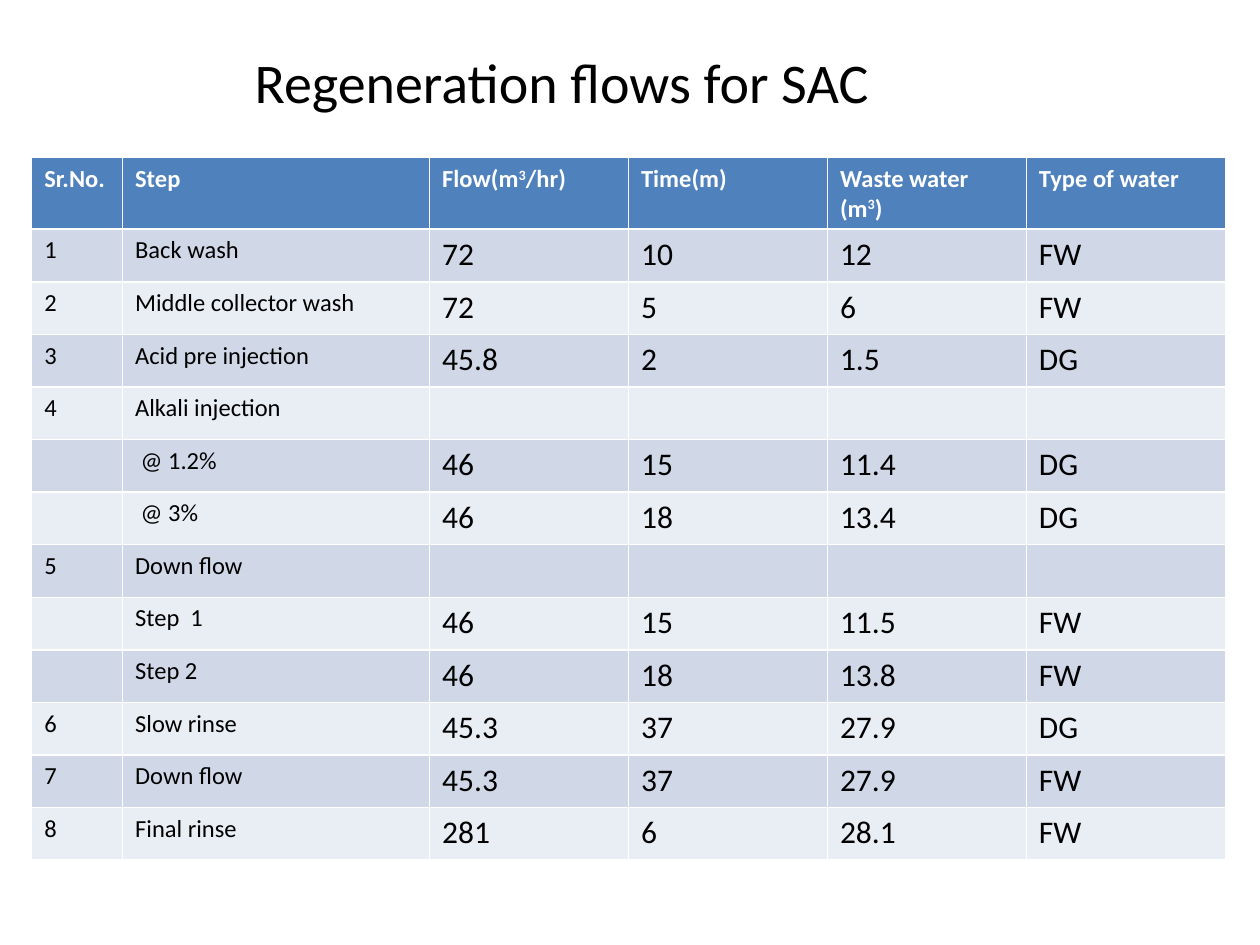
"""Build the slide listing the regeneration flows for SAC."""
import dataclasses

import pptx
import pptx.dml.color
import pptx.enum.text
import pptx.util

Cm = pptx.util.Cm
Pt = pptx.util.Pt
RGBColor = pptx.dml.color.RGBColor

BLACK = RGBColor(0x00, 0x00, 0x00)
WHITE = RGBColor(0xFF, 0xFF, 0xFF)
HEADER_BLUE = RGBColor(0x4F, 0x81, 0xBD)
BANDS = (RGBColor(0xE9, 0xED, 0xF4), RGBColor(0xD0, 0xD8, 0xE8))
FONT = "Calibri"
COLUMN_WIDTHS = (1.83, 6.19, 4.01, 4.01, 4.01, 4.01)
ROW_HEIGHT = 1.06
SUPERSCRIPT = "30000"


@dataclasses.dataclass(frozen=True)
class Step:
    """One regeneration step."""

    number: str
    name: str
    flow: str = ""
    minutes: str = ""
    waste: str = ""
    water: str = ""


HEADERS = (
    ("Sr.No.",),
    ("Step",),
    ("Flow(m", "3", "/hr)"),
    ("Time(m)",),
    ("Waste water (m", "3", ")"),
    ("Type of water",),
)
STEPS = (
    Step("1", "Back wash", "72", "10", "12", "FW"),
    Step("2", "Middle collector wash", "72", "5", "6", "FW"),
    Step("3", "Acid pre injection", "45.8", "2", "1.5", "DG"),
    Step("4", "Alkali injection"),
    Step("", " @ 1.2%", "46", "15", "11.4", "DG"),
    Step("", " @ 3%", "46", "18", "13.4", "DG"),
    Step("5", "Down flow"),
    Step("", "Step  1", "46", "15", "11.5", "FW"),
    Step("", "Step 2", "46", "18", "13.8", "FW"),
    Step("6", "Slow rinse", "45.3", "37", "27.9", "DG"),
    Step("7", "Down flow", "45.3", "37", "27.9", "FW"),
    Step("8", "Final rinse", "281", "6", "28.1", "FW"),
)


def add_run(p, text: str, size: int, color: RGBColor, bold: bool = False):
    """Append a formatted run to a paragraph and return it."""
    r = p.add_run()
    r.text = text
    r.font.name = FONT
    r.font.size = Pt(size)
    r.font.bold = bold
    r.font.color.rgb = color
    return r


def fill_cell(cell, color: RGBColor) -> None:
    """Give a table cell a solid fill."""
    cell.fill.solid()
    cell.fill.fore_color.rgb = color


def add_title(s, text: str) -> None:
    """Place and format the slide title."""
    sp = s.shapes.title
    sp.left, sp.top, sp.width, sp.height = Cm(4.88), Cm(0.84), Cm(13.03), Cm(1.62)
    tf = sp.text_frame
    tf.word_wrap = False
    tf.auto_size = pptx.enum.text.MSO_AUTO_SIZE.SHAPE_TO_FIT_TEXT
    tf.vertical_anchor = pptx.enum.text.MSO_ANCHOR.TOP
    p = tf.paragraphs[0]
    p.alignment = pptx.enum.text.PP_ALIGN.LEFT
    add_run(p, text, 32, BLACK)


def add_flow_table(s) -> None:
    """Draw the table of regeneration steps."""
    count = len(STEPS) + 1
    table = s.shapes.add_table(
        count, len(HEADERS), Cm(0.64), Cm(3.18),
        Cm(sum(COLUMN_WIDTHS)), Cm(ROW_HEIGHT * count),
    ).table
    for column, width in zip(table.columns, COLUMN_WIDTHS):
        column.width = Cm(width)
    for row in table.rows:
        row.height = Cm(ROW_HEIGHT)
    for col, parts in enumerate(HEADERS):
        cell = table.cell(0, col)
        fill_cell(cell, HEADER_BLUE)
        for i, part in enumerate(parts):
            r = add_run(cell.text_frame.paragraphs[0], part, 14, WHITE, True)
            if i == 1:
                r.font._element.set("baseline", SUPERSCRIPT)
    for row, step in enumerate(STEPS, 1):
        for col, text in enumerate(dataclasses.astuple(step)):
            cell = table.cell(row, col)
            fill_cell(cell, BANDS[row % 2])
            if text:
                size = 14 if col < 2 else 18
                add_run(cell.text_frame.paragraphs[0], text, size, BLACK)


def main() -> None:
    """Create and save the presentation."""
    prs = pptx.Presentation()
    prs.slide_width, prs.slide_height = Cm(25.4), Cm(19.05)
    s = prs.slides.add_slide(prs.slide_layouts[5])
    add_flow_table(s)
    add_title(s, "Regeneration flows for SAC")
    prs.save("out.pptx")


main()
